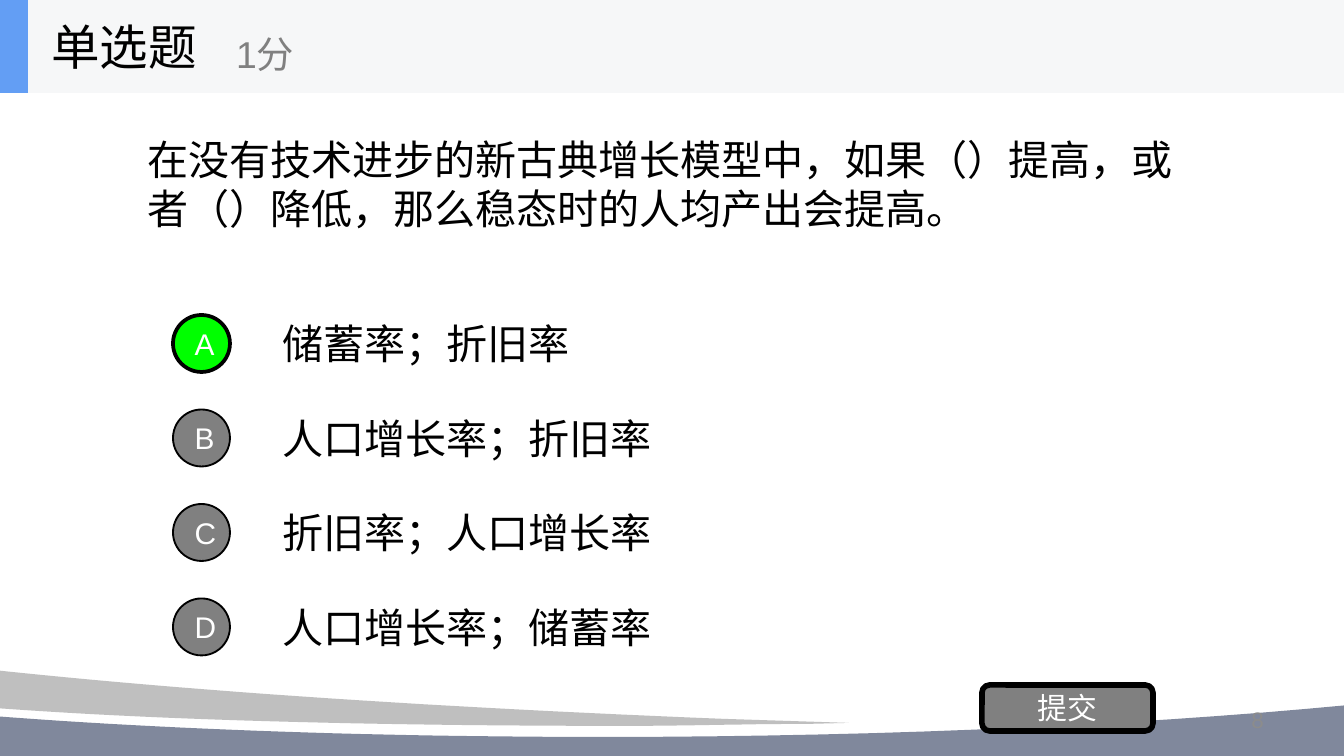
from dataclasses import dataclass

from lxml.etree import SubElement
from pptx import Presentation
from pptx.dml.color import RGBColor
from pptx.enum.shapes import MSO_SHAPE
from pptx.enum.text import MSO_ANCHOR, MSO_AUTO_SIZE, PP_ALIGN
from pptx.oxml.ns import qn
from pptx.util import Pt

SCALE = 914400 / 134.4


@dataclass(frozen=True)
class Theme:
    font: str = "Arial"
    ink: str = "000000"
    white: str = "FFFFFF"
    gray: str = "808080"
    page: str = "8C8C8C"
    chosen: str = "00FF00"
    header: str = "F6F7F8"
    accent: str = "639EF4"
    wave: str = "80889C"
    wave_light: str = "BFBFBF"
    title_size: int = 26
    body_size: int = 22
    score_size: int = 20
    label_size: int = 16
    page_size: int = 12


T = Theme()

WAVES = [
    (T.wave, [(1792, 0), (1792, 97), (0, 97), (0, 49), (104, 57),
              (285, 71, 494, 78, 715, 78), (1159, 78, 1549, 48, 1780, 2)]),
    (T.wave_light, [(0, 0), (95, 10), (308, 33, 560, 49, 836, 60), (961, 64), (920, 65),
                    (861, 65, 799, 67, 736, 67), (484, 67, 257, 61, 93, 48), (0, 40)]),
]
OPTIONS = ["储蓄率；折旧率", "人口增长率；折旧率", "折旧率；人口增长率", "人口增长率；储蓄率"]


def px(*values):
    return [round(v * SCALE) for v in values]


def write(sp, text, size=T.body_size, color=T.ink, align=PP_ALIGN.LEFT):
    tf = sp.text_frame
    tf.word_wrap = True
    tf.auto_size = MSO_AUTO_SIZE.NONE
    tf.vertical_anchor = MSO_ANCHOR.MIDDLE
    p = tf.paragraphs[0]
    p.alignment = align
    p.space_before = Pt(0)
    r = p.add_run()
    r.text = text
    r.font.name = T.font
    r.font.size = Pt(size)
    r.font.color.rgb = RGBColor.from_string(color)
    return p


def text_box(s, box, text, **fmt):
    return write(s.shapes.add_textbox(*px(*box)), text, **fmt)


def paint(sp, fill, line=0):
    sp.shadow.inherit = False
    sp.fill.solid()
    sp.fill.fore_color.rgb = RGBColor.from_string(fill)
    if line:
        sp.line.color.rgb = RGBColor.from_string(T.ink)
        sp.line.width = Pt(line)
    else:
        sp.line.fill.background()
    return sp


def shape(s, kind, box, fill, line=0):
    return paint(s.shapes.add_shape(kind, *px(*box)), fill, line)


def place(ph, box):
    ph.left, ph.top, ph.width, ph.height = px(*box)
    ph.element.getparent().append(ph.element)
    return ph


def outline(path, steps=24):
    points = []
    for step in path:
        if len(step) == 2:
            points.append(step)
            continue
        knots = [points[-1], step[:2], step[2:4], step[4:]]
        for i in range(1, steps + 1):
            t = i / steps
            weights = ((1 - t) ** 3, 3 * t * (1 - t) ** 2, 3 * t * t * (1 - t), t ** 3)
            points.append(tuple(sum(w * k[axis] for w, k in zip(weights, knots))
                                for axis in (0, 1)))
    return points


def waves(s, x, y):
    for fill, path in WAVES:
        start, *rest = [px(x + dx, y + dy) for dx, dy in outline(path)]
        fb = s.shapes.build_freeform(*start)
        fb.add_line_segments(rest, close=True)
        paint(fb.convert_to_shape(), fill)


def header(s, x, y, w, h):
    shape(s, MSO_SHAPE.RECTANGLE, (x, y, w, h), T.header)
    shape(s, MSO_SHAPE.RECTANGLE, (x, y, 28, h), T.accent)
    write(place(s.shapes.title, (x + 38, y, 280, h)), "单选题", size=T.title_size)
    text_box(s, (x + 223, y + 16, 336, 75), "1分", size=T.score_size, color=T.gray)


def question(s, *box):
    p = write(place(s.placeholders[1], box),
              "在没有技术进步的新古典增长模型中，如果（）提高，或者（）降低，那么稳态时的人均产出会提高。")
    pPr = p._p.get_or_add_pPr()
    pPr.set("marL", "0")
    pPr.set("indent", "0")
    SubElement(pPr, qn("a:buNone"))


def options(s, x, y, w, h, answer):
    pitch = h / len(OPTIONS)
    for i, text in enumerate(OPTIONS):
        top = y + i * pitch
        chosen = i == answer
        sp = shape(s, MSO_SHAPE.OVAL, (x, top + 7, 57, 57),
                   T.chosen if chosen else T.gray, 2 if chosen else 1)
        write(sp, "ABCD"[i], size=T.label_size, color=T.white, align=PP_ALIGN.CENTER)
        text_box(s, (x + 96, top, w - 96, 71), text)


def footer(s, x, y, w, h):
    text_box(s, (x, y + 15, w, 40), "8", size=T.page_size, color=T.page, align=PP_ALIGN.RIGHT)
    sp = shape(s, MSO_SHAPE.ROUNDED_RECTANGLE, (x + 18, y, 171, h), T.gray, 3)
    write(sp, "提交", size=T.label_size, color=T.white, align=PP_ALIGN.CENTER)


def main():
    prs = Presentation()
    prs.slide_width, prs.slide_height = px(1344, 756)
    s = prs.slides.add_slide(prs.slide_layouts[1])
    waves(s, -112, 659)
    question(s, 134, 65, 1075, 237)
    options(s, 173, 308, 1037, 378, answer=0)
    footer(s, 964, 685, 313, 46)
    header(s, 0, 0, 1344, 93)
    prs.save("out.pptx")


if __name__ == "__main__":
    main()
